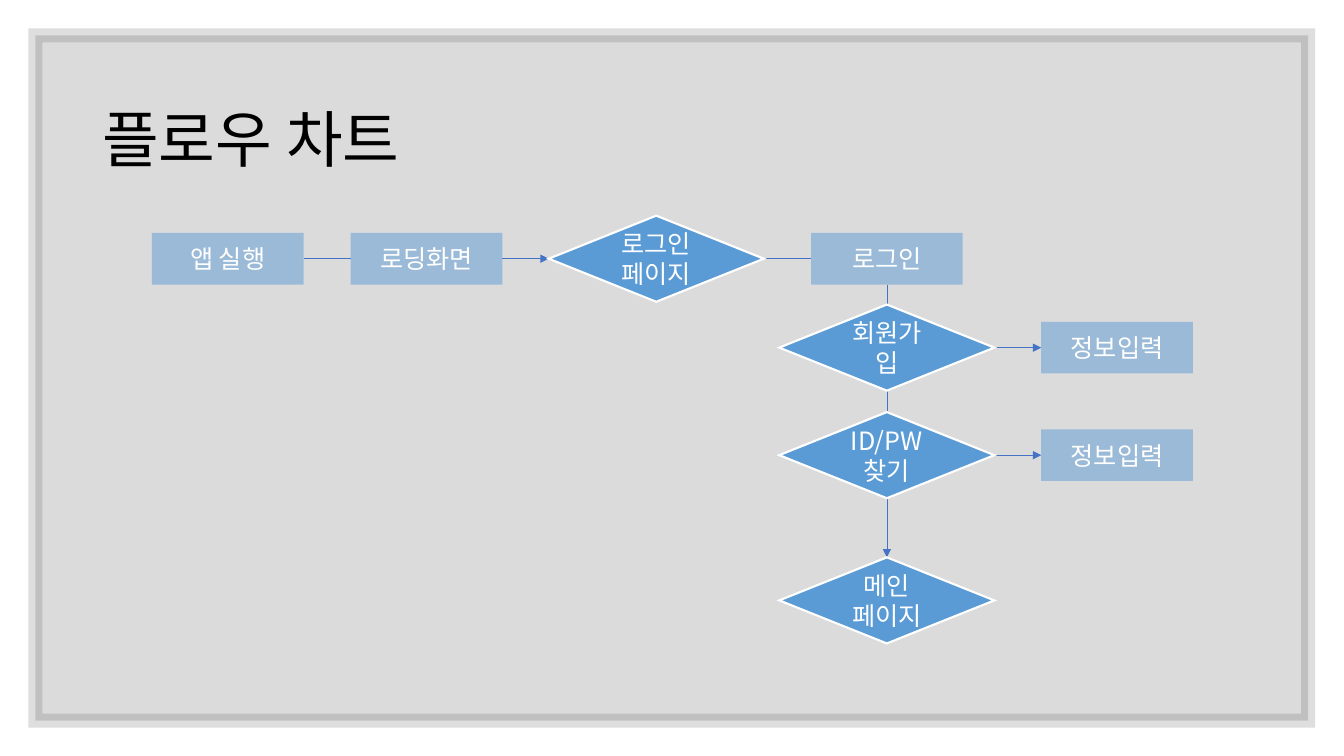
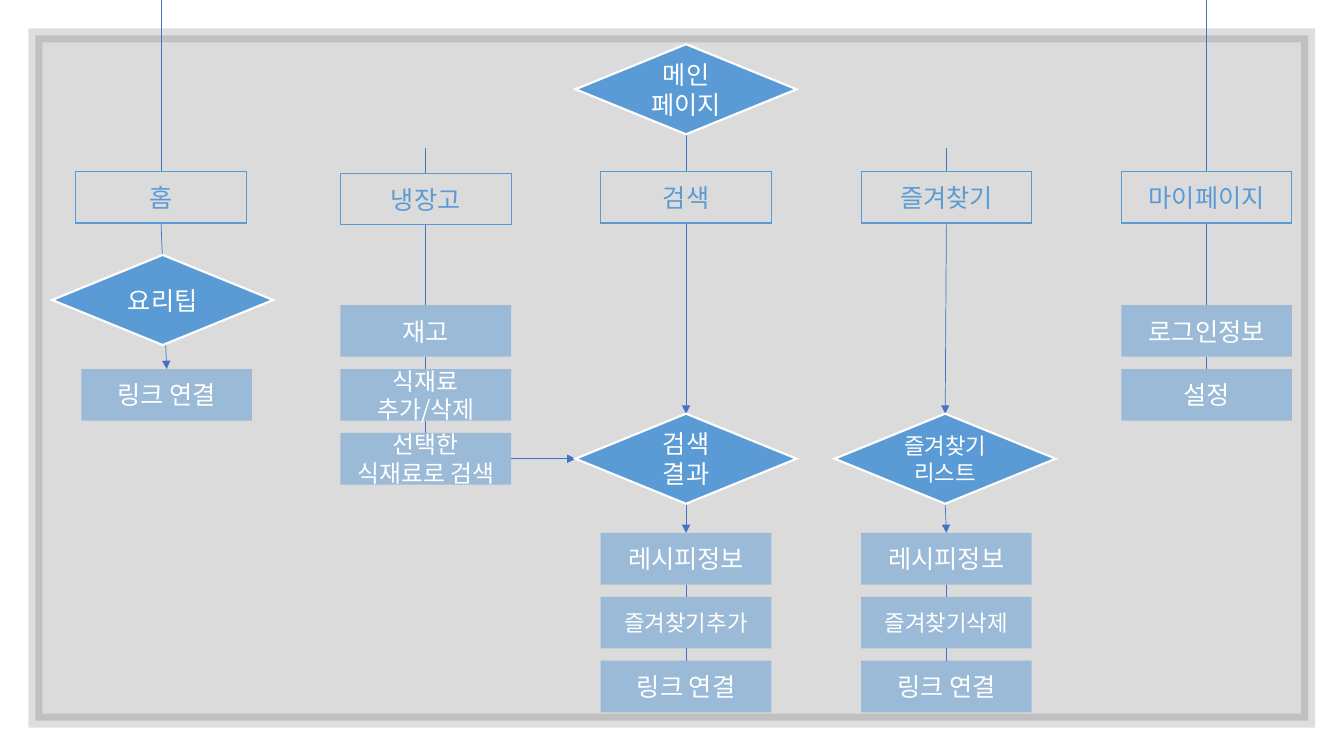
"""Build two flow chart slides for a recipe app."""
from lxml.etree import SubElement as Sub
from pptx import Presentation
from pptx.dml.color import RGBColor
from pptx.enum.shapes import MSO_CONNECTOR as Wire, MSO_SHAPE as Form
from pptx.enum.text import MSO_ANCHOR as Anchor, PP_ALIGN as Align
from pptx.oxml.ns import qn
from pptx.util import Cm, Pt

FONT = "Noto Sans CJK KR"
BLUE, LINK, WHITE, BLACK, EDGE = "5B9BD5", "4472C4", "FFFFFF", "000000", "262626"
FRAME = (0.89, 0.89, 32.08, 17.27)
TITLE = (2.33, 1.75, 29.21, 3.68)
HOME, FRIDGE, SEARCH, FAV, MINE = 4.06, 10.73, 17.29, 23.85, 30.41
TOP, MID, LOW, STEP = 4.97, 8.34, 14.08, 1.61
BUS = 3.73

LOGIN = {
    "title": "플로우 차트",
    "sizes": {"box": (3.82, 1.3), "gem": (5.42, 2.17)},
    "nodes": {
        "run": ("box", 5.74, 6.52, "앱 실행", 18),
        "load": ("box", 10.75, 6.52, "로딩화면", 18),
        "page": ("gem", 16.54, 6.52, "로그인\n페이지", 18),
        "login": ("box", 22.35, 6.52, "로그인", 18),
        "join": ("gem", 22.35, 8.76, "회원가입", 18),
        "find": ("gem", 22.35, 11.47, "ID/PW\n찾기", 18),
        "main": ("gem", 22.35, 15.13, "메인\n페이지", 18),
        "join info": ("box", 28.15, 8.76, "정보입력", 18),
        "find info": ("box", 28.15, 11.47, "정보입력", 18),
    },
    "links": [
        ("run", "load", False), ("load", "page", True), ("page", "login", False),
        ("login", "main", True), ("join", "join info", True),
        ("find", "find info", True),
    ],
    "stubs": [],
}
MENU = {
    "title": None,
    "sizes": {"box": (4.3, 1.3), "tab": (4.3, 1.3), "gem": (5.57, 2.27)},
    "nodes": {
        "main": ("gem", SEARCH, 2.25, "메인\n페이지", 18),
        "home": ("tab", HOME, TOP, "홈", 18),
        "fridge": ("tab", FRIDGE, TOP + 0.05, "냉장고", 18),
        "search": ("tab", SEARCH, TOP, "검색", 18),
        "fav": ("tab", FAV, TOP, "즐겨찾기", 18),
        "mine": ("tab", MINE, TOP, "마이페이지", 18),
        "tip": ("gem", HOME + 0.04, 7.56, "요리팁", 18),
        "tip link": ("box", HOME + 0.14, MID + STEP, "링크 연결", 18),
        "stock": ("box", FRIDGE, MID, "재고", 18),
        "edit": ("box", FRIDGE, MID + STEP, "식재료\n추가/삭제", 17),
        "pick": ("box", FRIDGE, MID + 2 * STEP, "선택한 식재료로 검색", 17),
        "found": ("gem", SEARCH, MID + 2 * STEP, "검색\n결과", 18),
        "dish": ("box", SEARCH, LOW, "레시피정보", 18),
        "add": ("box", SEARCH, LOW + STEP, "즐겨찾기추가", 16),
        "dish link": ("box", SEARCH, LOW + 2 * STEP, "링크 연결", 18),
        "list": ("gem", FAV - 0.03, MID + 2 * STEP, "즐겨찾기\n리스트", 16),
        "saved": ("box", FAV, LOW, "레시피정보", 18),
        "drop": ("box", FAV, LOW + STEP, "즐겨찾기삭제", 16),
        "saved link": ("box", FAV, LOW + 2 * STEP, "링크 연결", 18),
        "user": ("box", MINE, MID, "로그인정보", 18),
        "setup": ("box", MINE, MID + STEP, "설정", 18),
    },
    "links": [
        ("home", "tip link", True), ("main", "search", False),
        ("fridge", "stock", False), ("stock", "edit", False),
        ("edit", "pick", False), ("pick", "found", True),
        ("search", "found", True), ("found", "dish", True),
        ("dish", "add", False), ("add", "dish link", False),
        ("fav", "list", True), ("list", "saved", True),
        ("saved", "drop", False), ("drop", "saved link", False),
        ("mine", "user", False), ("user", "setup", False),
    ],
    "stubs": [("home", 0), ("fridge", BUS), ("fav", BUS), ("mine", 0)],
}


def paint(color):
    return RGBColor.from_string(color)


def fade(shape, *shares):
    tints = list(shape._element.spPr.iter(qn("a:srgbClr")))
    for tint, share in zip(tints, shares):
        Sub(tint, qn("a:alpha")).set("val", str(share * 1000))


def write(shape, text, size, color, align):
    frame = shape.text_frame
    frame.text = text
    frame.word_wrap = True
    frame.vertical_anchor = Anchor.MIDDLE
    for para in frame.paragraphs:
        para.alignment = align
        for run in para.runs:
            run.font.size = Pt(size)
            run.font.color.rgb = paint(color)
            run.font.name = FONT
            Sub(run._r.get_or_add_rPr(), qn("a:ea")).set("typeface", FONT)
    return frame


def block(slide, form, area, fill=None, line=None, width=0):
    shape = slide.shapes.add_shape(form, *map(Cm, area))
    shape.shadow.inherit = False
    if fill:
        shape.fill.solid()
        shape.fill.fore_color.rgb = paint(fill)
    else:
        shape.fill.background()
    if line:
        shape.line.color.rgb = paint(line)
        shape.line.width = Pt(width)
        Sub(shape.line._get_or_add_ln(), qn("a:miter")).set("lim", "800000")
    else:
        shape.line.fill.background()
    return shape


def wire(slide, start, end, arrow=False):
    line = slide.shapes.add_connector(Wire.STRAIGHT, *map(Cm, start + end))
    line.line.color.rgb = paint(LINK)
    line.line.width = Pt(0.5)
    if arrow:
        Sub(line.line._get_or_add_ln(), qn("a:tailEnd")).set("type", "triangle")
    Sub(line._element.spPr, qn("a:effectLst"))


def node(slide, size, kind, x, y, text, points):
    wide, high = size
    area = (x - wide / 2, y - high / 2, wide, high)
    if kind == "gem":
        shape = block(slide, Form.FLOWCHART_DECISION, area, BLUE, WHITE, 1.5)
    elif kind == "tab":
        shape = block(slide, Form.FLOWCHART_PROCESS, area, None, BLUE, 0.75)
    else:
        shape = block(slide, Form.FLOWCHART_PROCESS, area, BLUE)
        fade(shape, 50)
    write(shape, text, points, BLUE if kind == "tab" else WHITE, Align.CENTER)


def chart(deck, plan):
    slide = deck.slides.add_slide(deck.slide_layouts[6])
    fade(block(slide, Form.RECTANGLE, FRAME, BLACK, EDGE, 10), 14, 15)
    if plan["title"]:
        head = slide.shapes.add_textbox(*map(Cm, TITLE))
        frame = write(head, plan["title"], 44, BLACK, Align.LEFT)
        frame.paragraphs[0].line_spacing = 0.9
    nodes, sizes = plan["nodes"], plan["sizes"]
    for first, last, arrow in plan["links"]:
        kind, x, y = nodes[first][:3]
        goal, to_x, to_y = nodes[last][:3]
        if y == to_y:
            start = (x + sizes[kind][0] / 2, y)
            end = (to_x - sizes[goal][0] / 2, to_y)
        else:
            start = (x, y + sizes[kind][1] / 2)
            end = (to_x, to_y - sizes[goal][1] / 2)
        wire(slide, start, end, arrow)
    for name, top in plan["stubs"]:
        kind, x, y = nodes[name][:3]
        wire(slide, (x, top), (x, y - sizes[kind][1] / 2))
    for item in nodes.values():
        node(slide, sizes[item[0]], *item)


deck = Presentation()
deck.slide_width, deck.slide_height = Cm(33.87), Cm(19.05)
for plan in (LOGIN, MENU):
    chart(deck, plan)
deck.save("out.pptx")
